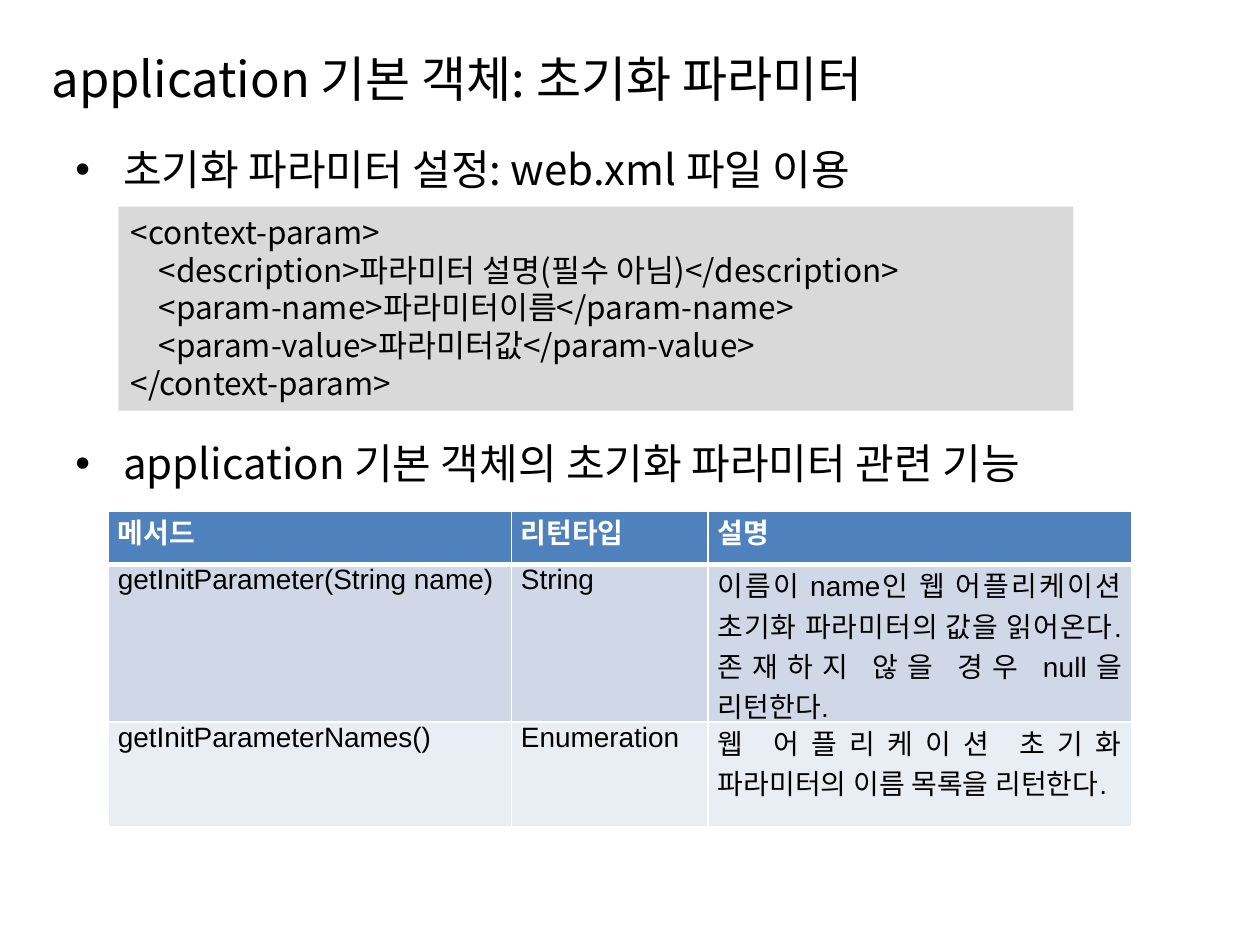
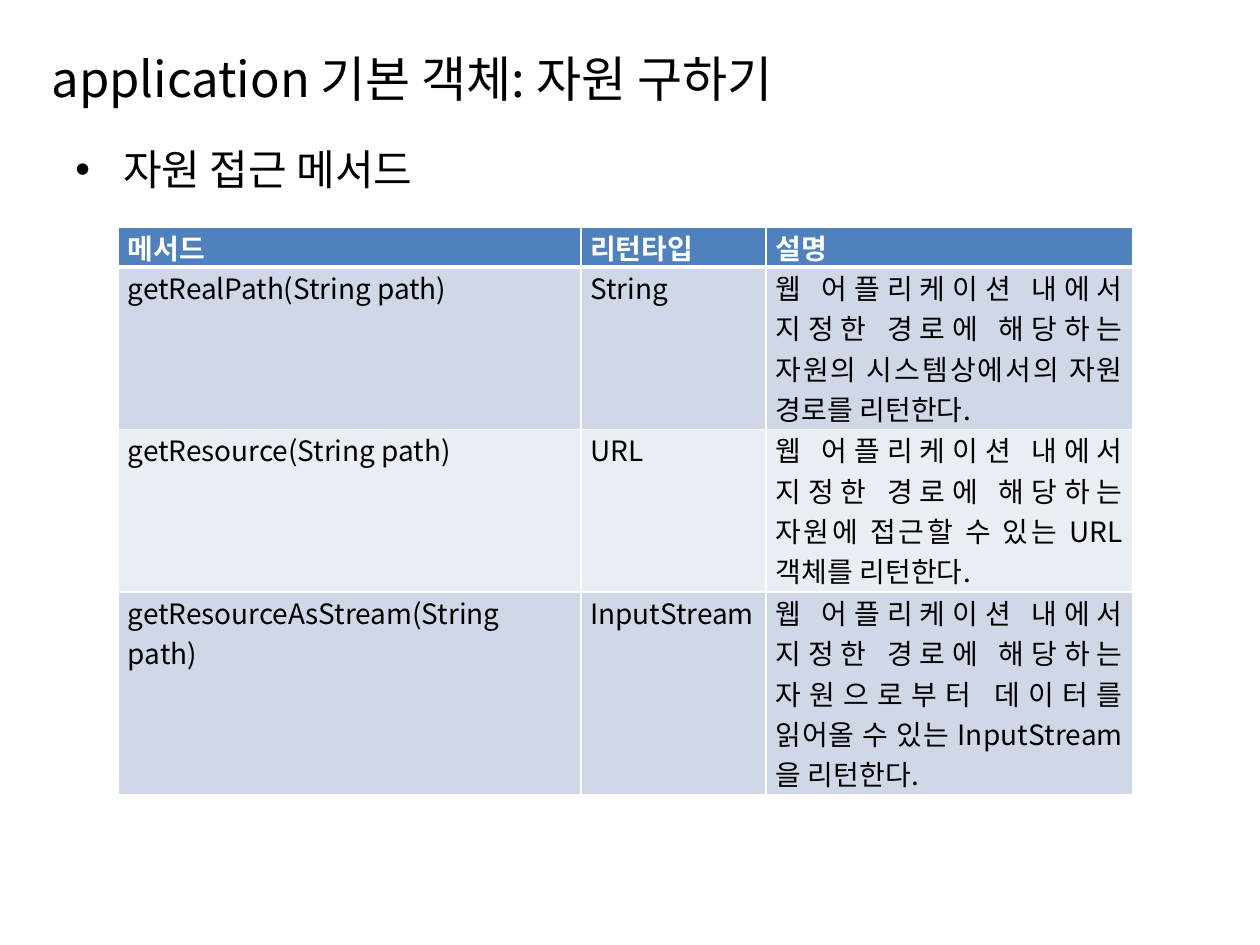
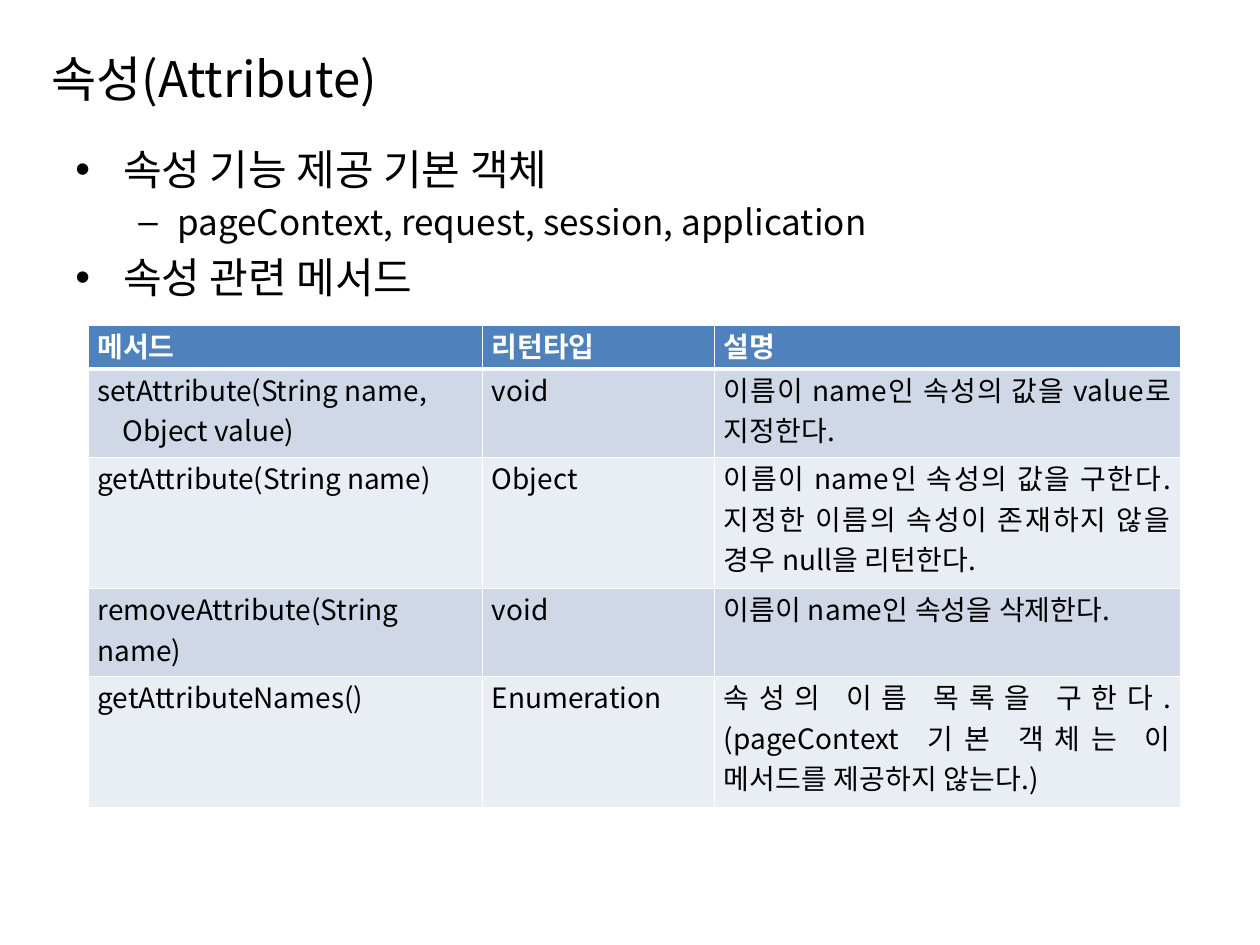
"""Build three slides on initial parameters, resources and attributes."""
from dataclasses import dataclass

from lxml import etree
from pptx import Presentation
from pptx.dml.color import RGBColor
from pptx.enum.shapes import MSO_SHAPE
from pptx.enum.text import MSO_ANCHOR, PP_ALIGN
from pptx.oxml.ns import qn
from pptx.util import Inches, Pt

RECTANGLE = MSO_SHAPE.RECTANGLE
TOP, MIDDLE = MSO_ANCHOR.TOP, MSO_ANCHOR.MIDDLE
LEFT, JUSTIFY = PP_ALIGN.LEFT, PP_ALIGN.JUSTIFY
TITLE_ONLY = 5


@dataclass(frozen=True)
class Theme:
    """Colours, fonts and type sizes (points) shared by all slides."""
    text: str = "000000"
    white: str = "FFFFFF"
    code_fill: str = "D9D9D9"
    header_fill: str = "4F81BD"
    band_fills: tuple = ("D0D8E8", "E9EDF4")
    font: str = "Noto Sans CJK KR"
    plain_font: str = "Arial"
    title_size: int = 28
    bullet_sizes: tuple = (24, 20)
    code_size: int = 18
    table_size: int = 16
    line_height: float = 1.2
    bullet_gap: float = 0.2
    cell_margin: float = 5.4
    description_tracking: float = 0.1
    rule: int = 1
    header_rule: int = 3


THEME = Theme()
BULLETS = (("•", 0.38, -0.38), ("–", 0.81, -0.31))
TABLE_HEADER = ("메서드", "리턴타입", "설명")


def set_values(target, values):
    """Set attributes of an object from a dict."""
    for name, value in values.items():
        setattr(target, name, value)


def place(shape, left, top, width, height):
    """Move and size a shape, in inches."""
    set_values(shape, {"left": Inches(left), "top": Inches(top),
                       "width": Inches(width), "height": Inches(height)})


def write(paragraph, text, size, color=THEME.text, bold=False,
          font=THEME.font, align=LEFT, tracking=0):
    """Add one formatted run to a paragraph; tracking is in points."""
    paragraph.alignment = align
    run = paragraph.add_run()
    run.text = text
    set_values(run.font, {"size": Pt(size), "bold": bold, "name": font})
    run.font.color.rgb = RGBColor.from_string(color)
    properties = run.font._element
    east_asian = etree.SubElement(properties, qn("a:ea"))
    east_asian.set("typeface", THEME.font)
    if tracking:
        properties.set("spc", str(round(tracking * 100)))


def next_paragraph(frame, index):
    """Return the first paragraph of a frame, or a new one after it."""
    return frame.add_paragraph() if index else frame.paragraphs[0]


def tighten(paragraph, size):
    """Give a paragraph the fixed line height of the theme."""
    paragraph.line_spacing = Pt(size * THEME.line_height)


def indent(paragraph, margin, first_line=0):
    """Set the left margin and first-line indent, in inches."""
    properties = paragraph._p.get_or_add_pPr()
    properties.set("marL", str(Inches(margin)))
    properties.set("indent", str(Inches(first_line)))
    return properties


def add_titled_slide(presentation, title):
    """Add a title-only slide and format its title."""
    slide = presentation.slides.add_slide(
        presentation.slide_layouts[TITLE_ONLY])
    shape = slide.shapes.title
    place(shape, 0.31, 0.3, 9.45, 0.64)
    set_values(shape.text_frame, {"vertical_anchor": MIDDLE,
                                  "word_wrap": True})
    paragraph = shape.text_frame.paragraphs[0]
    write(paragraph, title, THEME.title_size)
    tighten(paragraph, THEME.title_size)
    return slide


def add_bullets(slide, items):
    """Add bullets given as (level, text, extra space before in points)."""
    box = slide.shapes.add_textbox(Inches(0.5), Inches(1.09),
                                   Inches(9), Inches(5.61))
    frame = box.text_frame
    set_values(frame, {"word_wrap": True, "vertical_anchor": TOP})
    for index, (level, text, extra) in enumerate(items):
        size = THEME.bullet_sizes[level]
        character, margin, first_line = BULLETS[level]
        paragraph = next_paragraph(frame, index)
        write(paragraph, text, size)
        tighten(paragraph, size)
        paragraph.level = level
        paragraph.space_before = Pt(size * THEME.bullet_gap + extra)
        properties = indent(paragraph, margin, first_line)
        bullet_font = etree.SubElement(properties, qn("a:buFont"))
        bullet_font.set("typeface", THEME.plain_font)
        bullet = etree.SubElement(properties, qn("a:buChar"))
        bullet.set("char", character)


def add_code(slide, lines):
    """Add a grey panel of code given as (indent in inches, text)."""
    panel = slide.shapes.add_shape(RECTANGLE, Inches(0.94), Inches(1.64),
                                   Inches(7.58), Inches(1.62))
    panel.shadow.inherit = False
    panel.fill.solid()
    panel.fill.fore_color.rgb = RGBColor.from_string(THEME.code_fill)
    panel.line.fill.background()
    frame = panel.text_frame
    set_values(frame, {"word_wrap": True, "vertical_anchor": TOP})
    for index, (margin, text) in enumerate(lines):
        paragraph = next_paragraph(frame, index)
        write(paragraph, text, THEME.code_size)
        tighten(paragraph, THEME.code_size)
        indent(paragraph, margin)


def set_borders(cell, top, bottom):
    """Draw white cell borders; top and bottom widths are in points."""
    properties = cell._tc.get_or_add_tcPr()
    widths = {"a:lnL": THEME.rule, "a:lnR": THEME.rule,
              "a:lnT": top, "a:lnB": bottom}
    for position, (tag, width) in enumerate(widths.items()):
        line = etree.Element(qn(tag), w=str(Pt(width)))
        fill = etree.SubElement(line, qn("a:solidFill"))
        etree.SubElement(fill, qn("a:srgbClr"), val=THEME.white)
        properties.insert(position, line)


def fill_cell(cell, row, text, font, tracking):
    """Write and style a cell; a new line in the text is indented."""
    header = row == 0
    fill = THEME.header_fill if header else THEME.band_fills[(row - 1) % 2]
    color = THEME.white if header else THEME.text
    set_values(cell, {"margin_left": Pt(THEME.cell_margin),
                      "margin_right": Pt(THEME.cell_margin),
                      "margin_top": 0, "margin_bottom": 0,
                      "vertical_anchor": TOP})
    for index, line in enumerate(text.split("\n")):
        paragraph = next_paragraph(cell.text_frame, index)
        write(paragraph, line, THEME.table_size, color, header, font,
              JUSTIFY, tracking)
        if index:
            indent(paragraph, 0.2)
    cell.fill.solid()
    cell.fill.fore_color.rgb = RGBColor.from_string(fill)
    set_borders(cell, THEME.header_rule if row == 1 else THEME.rule,
                THEME.header_rule if header else THEME.rule)


def add_method_table(slide, left, top, widths, heights, methods,
                     font=THEME.font):
    """Add a table of methods below the shared header row."""
    rows = [TABLE_HEADER, *methods]
    table = slide.shapes.add_table(
        len(rows), len(widths), Inches(left), Inches(top),
        Inches(sum(widths)), Inches(sum(heights))).table
    for column, width in zip(table.columns, widths):
        column.width = Inches(width)
    trackings = (0, 0, THEME.description_tracking)
    for index, (height, texts) in enumerate(zip(heights, rows)):
        table.rows[index].height = Inches(height)
        cells = table.rows[index].cells
        for cell, text, tracking in zip(cells, texts, trackings):
            fill_cell(cell, index, text, font, tracking)


def build_parameters(presentation):
    """Slide on initial parameters."""
    slide = add_titled_slide(presentation,
                             "application 기본 객체: 초기화 파라미터")
    add_bullets(slide, [
        (0, "초기화 파라미터 설정: web.xml 파일 이용", 0),
        (0, "application 기본 객체의 초기화 파라미터 관련 기능", 134.4)])
    add_code(slide, [
        (0, "<context-param>"),
        (0.22, "<description>파라미터 설명(필수 아님)</description>"),
        (0.22, "<param-name>파라미터이름</param-name>"),
        (0.22, "<param-value>파라미터값</param-value>"),
        (0, "</context-param>")])
    add_method_table(
        slide, 0.86, 4.06, (3.2, 1.56, 3.36), (0.42, 1.25, 0.83), [
            ("getInitParameter(String name)", "String",
             "이름이 name인 웹 어플리케이션 초기화 파라미터의 값을 읽어온다. "
             "존재하지 않을 경우 null을 리턴한다."),
            ("getInitParameterNames()", "Enumeration",
             "웹 어플리케이션 초기화 파라미터의 이름 목록을 리턴한다.")],
        THEME.plain_font)


def build_resources(presentation):
    """Slide on access to resources."""
    slide = add_titled_slide(presentation,
                             "application 기본 객체: 자원 구하기")
    add_bullets(slide, [(0, "자원 접근 메서드", 0)])
    lead = "웹 어플리케이션 내에서 지정한 경로에 해당하는 "
    add_method_table(
        slide, 0.94, 1.8, (3.67, 1.47, 2.91), (0.32, 1.29, 1.29, 1.61), [
            ("getRealPath(String path)", "String",
             lead + "자원의 시스템상에서의 자원 경로를 리턴한다."),
            ("getResource(String path)", "URL",
             lead + "자원에 접근할 수 있는 URL 객체를 리턴한다."),
            ("getResourceAsStream(String path)", "InputStream",
             lead + "자원으로부터 데이터를 읽어올 수 있는 "
             "InputStream을 리턴한다.")])


def build_attributes(presentation):
    """Slide on attributes."""
    slide = add_titled_slide(presentation, "속성(Attribute)")
    add_bullets(slide, [
        (0, "속성 기능 제공 기본 객체", 0),
        (1, "pageContext, request, session, application", 0),
        (0, "속성 관련 메서드", 0)])
    add_method_table(
        slide, 0.7, 2.58, (3.13, 1.84, 3.7), (0.35, 0.7, 1.04, 0.7, 1.04), [
            ("setAttribute(String name,\nObject value)", "void",
             "이름이 name인 속성의 값을 value로 지정한다."),
            ("getAttribute(String name)", "Object",
             "이름이 name인 속성의 값을 구한다. "
             "지정한 이름의 속성이 존재하지 않을 경우 null을 리턴한다."),
            ("removeAttribute(String name)", "void",
             "이름이 name인 속성을 삭제한다."),
            ("getAttributeNames()", "Enumeration",
             "속성의 이름 목록을 구한다. "
             "(pageContext 기본 객체는 이 메서드를 제공하지 않는다.)")])


def main():
    """Build and save the presentation."""
    presentation = Presentation()
    set_values(presentation, {"slide_width": Inches(10),
                              "slide_height": Inches(7.5)})
    build_parameters(presentation)
    build_resources(presentation)
    build_attributes(presentation)
    presentation.save("out.pptx")


if __name__ == "__main__":
    main()
